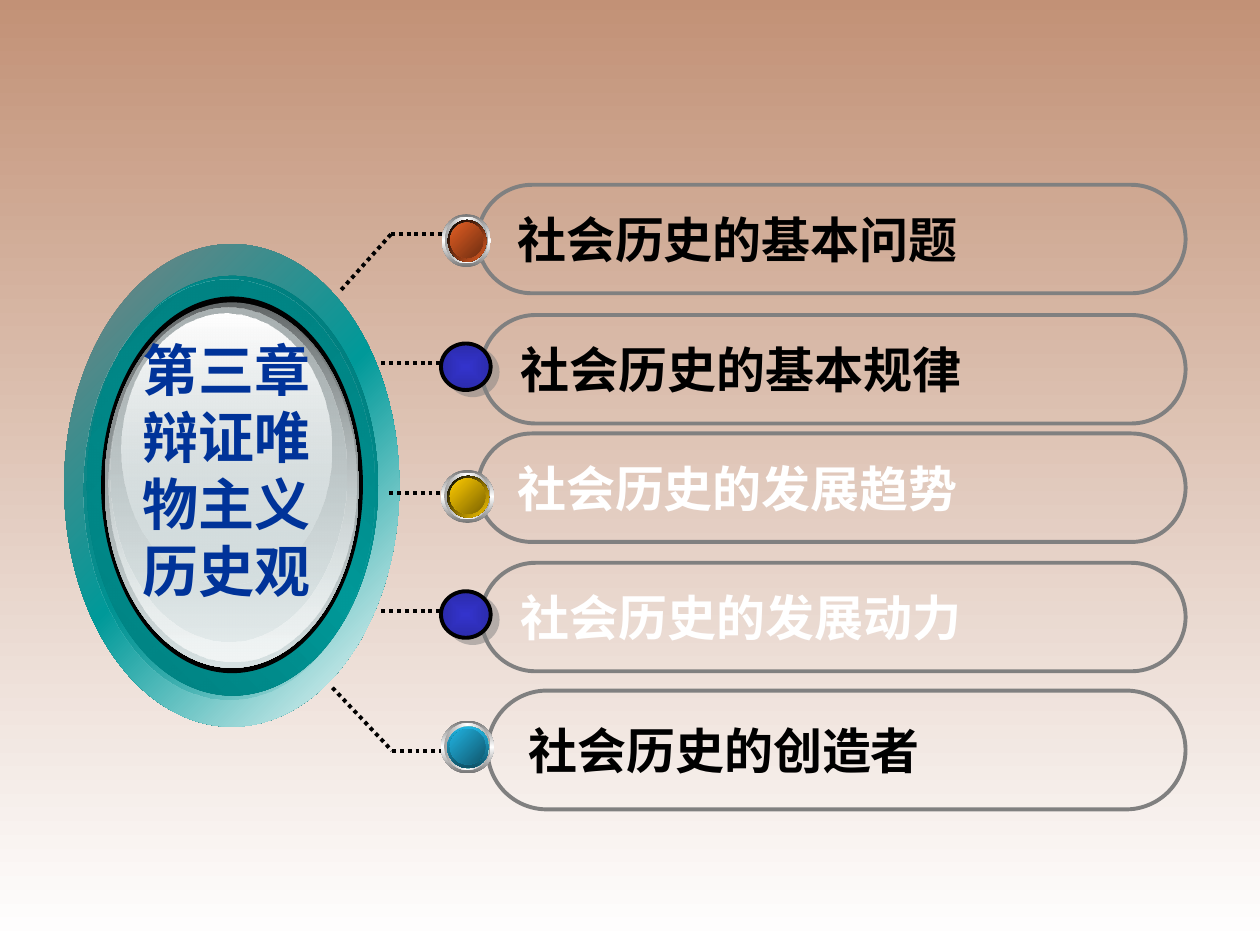
from lxml import etree
from pptx import Presentation
from pptx.dml.color import RGBColor
from pptx.enum.dml import MSO_LINE
from pptx.enum.shapes import MSO_CONNECTOR, MSO_SHAPE
from pptx.enum.text import MSO_ANCHOR, MSO_AUTO_SIZE, PP_ALIGN
from pptx.oxml.ns import qn
from pptx.util import Pt

OVAL = MSO_SHAPE.OVAL
PILL = MSO_SHAPE.ROUNDED_RECTANGLE
RECTANGLE = MSO_SHAPE.RECTANGLE
STRAIGHT = MSO_CONNECTOR.STRAIGHT
DOTTED = MSO_LINE.ROUND_DOT
LEFT, CENTER = PP_ALIGN.LEFT, PP_ALIGN.CENTER
MIDDLE = MSO_ANCHOR.MIDDLE
GROW = MSO_AUTO_SIZE.SHAPE_TO_FIT_TEXT

BLACK = RGBColor(0x00, 0x00, 0x00)
WHITE = RGBColor(0xFF, 0xFF, 0xFF)
GRAY = RGBColor(0x80, 0x80, 0x80)
CLAY = RGBColor(0xC2, 0x91, 0x76)
ICE = RGBColor(0xE0, 0xF6, 0xF8)
PALE_ICE = RGBColor(0xEF, 0xFA, 0xFB)
TEAL = RGBColor(0x00, 0x99, 0x99)
DEEP_TEAL = RGBColor(0x00, 0x75, 0x75)
MID_TEAL = RGBColor(0x00, 0x7E, 0x7E)
SLATE = RGBColor(0x63, 0x68, 0x69)
MIST = RGBColor(0xD6, 0xE1, 0xE2)
PALE_MIST = RGBColor(0xF1, 0xF5, 0xF5)
FOG = RGBColor(0xAA, 0xB2, 0xB3)
STEEL = RGBColor(0x76, 0x76, 0x76)
SILVER = RGBColor(0xA2, 0xA2, 0xA2)
NAVY = RGBColor(0x00, 0x33, 0x99)
SKY = RGBColor(0x21, 0xB3, 0xE1)
SKY_RIM = RGBColor(0x0F, 0x53, 0x68)
DARK_SKY = RGBColor(0x10, 0x57, 0x6D)
ORANGE = RGBColor(0xE3, 0x5E, 0x23)
DARK_ORANGE = RGBColor(0x6E, 0x2E, 0x11)
YELLOW = RGBColor(0xFF, 0xCC, 0x00)
DARK_YELLOW = RGBColor(0x7C, 0x63, 0x00)
INDIGO = RGBColor(0x33, 0x33, 0xCC)
DARK_INDIGO = RGBColor(0x2B, 0x2B, 0xAB)


class ChapterSlide:
    title_font = "Arial"
    label_font = "Noto Sans CJK JP"
    title_size = Pt(32)
    label_size = Pt(28)
    line_width = Pt(2.25)

    def __init__(self, presentation):
        self.slide = presentation.slides.add_slide(presentation.slide_layouts[6])

    def color_element(self, parent, color, alpha=100):
        element = etree.SubElement(parent, qn("a:srgbClr"), val=str(color))
        if alpha < 100:
            etree.SubElement(element, qn("a:alpha"), val=str(alpha * 1000))

    def gradient(self, fill, owner, stops, angle):
        fill.gradient()
        fill.gradient_angle = -angle % 360
        gradient = next(owner.iter(qn("a:gradFill")))
        stop_list = gradient.find(qn("a:gsLst"))
        for old_stop in list(stop_list):
            stop_list.remove(old_stop)
        for index, (color, alpha) in enumerate(stops):
            position = 100000 * index // (len(stops) - 1)
            stop = etree.SubElement(stop_list, qn("a:gs"), pos=str(position))
            self.color_element(stop, color, alpha)

    def background(self, *colors):
        stops = [(color, 100) for color in colors]
        self.gradient(self.slide.background.fill, self.slide._element, stops, 90)

    def shape(self, kind, box, colors=(), angle=90, alpha=100, outline=None):
        shape = self.slide.shapes.add_shape(kind, *map(Pt, box))
        shape.shadow.inherit = False
        if len(colors) > 1:
            stops = [(color, 100) for color in colors]
            if alpha < 100:
                faded = 0 if colors[0] == MIST else -1
                stops[faded] = (colors[faded], alpha)
            self.gradient(shape.fill, shape._element, stops, angle)
        elif colors:
            shape.fill.solid()
            shape.fill.fore_color.rgb = colors[0]
        else:
            shape.fill.background()
        if outline is None:
            shape.line.fill.background()
        else:
            shape.line.color.rgb = outline
            shape.line.width = self.line_width
        return shape

    def dotted_line(self, *ends):
        line = self.slide.shapes.add_connector(STRAIGHT, *map(Pt, ends))
        line.line.color.rgb = BLACK
        line.line.width = self.line_width
        line.line.dash_style = DOTTED
        etree.SubElement(line._element.spPr, qn("a:effectLst"))

    def set_text(self, frame, text, font_name, size, color, alignment):
        paragraph = frame.paragraphs[0]
        paragraph.text = text
        paragraph.alignment = alignment
        font = paragraph.font
        font.name, font.size, font.bold = font_name, size, True
        font.color.rgb = color
        return paragraph

    def title(self, text, box):
        frame = self.slide.shapes.add_textbox(*map(Pt, box)).text_frame
        frame.word_wrap = True
        frame.auto_size = GROW
        paragraph = self.set_text(frame, text, self.title_font, self.title_size, NAVY, CENTER)
        paragraph.space_before = Pt(6)

    def pill(self, text, left, top, height, color):
        right = 677.5
        shape = self.shape(PILL, (left, top, right - left, height), outline=GRAY)
        shape.adjustments[0] = 0.5
        frame = shape.text_frame
        frame.word_wrap = False
        frame.vertical_anchor = MIDDLE
        frame.margin_left = Pt(13.5)
        self.set_text(frame, text, self.label_font, self.label_size, color, LEFT)

    def bead(self, left, top, width, rim, rim_angle, core):
        height = 30.2
        layers = [
            (0, 0, 1, (STEEL, WHITE, STEEL), 90),
            (0.06, 0.05, 0.88, (SILVER, WHITE, SILVER), 0),
            (0.12, 0.11, 0.79, (WHITE, TEAL, WHITE), 45),
            (0.12, 0.11, 0.79, rim, rim_angle),
            (0.17, 0.16, 0.67, (DEEP_TEAL, TEAL, DEEP_TEAL), 315),
            (0.17, 0.16, 0.67, core, 45),
        ]
        for across, down, scale, colors, angle in layers:
            box = (left + across * width, top + down * height, scale * width, scale * height)
            self.shape(OVAL, box, colors, angle)

    def ball(self, left, top):
        shape = self.shape(OVAL, (left, top, 28.4, 26.6), (INDIGO, DARK_INDIGO), outline=BLACK)
        gradient = next(shape._element.iter(qn("a:gradFill")))
        gradient.remove(gradient.find(qn("a:lin")))
        radial = etree.SubElement(gradient, qn("a:path"), path="shape")
        sides = dict.fromkeys("ltrb", "50000")
        etree.SubElement(radial, qn("a:fillToRect"), **sides)
        effects = shape._element.spPr.find(qn("a:effectLst"))
        shadow = etree.SubElement(
            effects, qn("a:outerShdw"), dist=str(Pt(5)), dir=str(37 * 60000), rotWithShape="0"
        )
        self.color_element(shadow, GRAY, 50)


def main():
    presentation = Presentation()
    presentation.slide_width, presentation.slide_height = Pt(720), Pt(540)
    chapter = ChapterSlide(presentation)
    chapter.background(CLAY, ICE, PALE_ICE)
    chapter.shape(RECTANGLE, (0, -2, 720, 542), (CLAY, WHITE))

    chapter.dotted_line(190, 393, 224, 429)
    medallion = [
        ((36.7, 139.5, 191.5, 275.8), (GRAY, TEAL, WHITE), 45, 100),
        ((49.7, 157.7, 166.3, 239.8), (DEEP_TEAL, TEAL, DEEP_TEAL), 315, 100),
        ((47.5, 159.8, 166.3, 239.8), (MID_TEAL, TEAL), 45, 0),
        ((57.8, 169.4, 149.6, 215.3), (BLACK,), 0, 100),
        ((59.8, 172.8, 145.4, 208.8), (SLATE, MIST), 90, 100),
        ((61.9, 174.2, 141.8, 203.8), (MIST, PALE_MIST), 90, 0),
        ((63.4, 175.7, 134.6, 190.8), (FOG, MIST), 90, 48),
        ((69.6, 179.3, 119.9, 154.8), (WHITE, MIST), 90, 38),
    ]
    for box, colors, angle, alpha in medallion:
        chapter.shape(OVAL, box, colors, angle, alpha)
    chapter.dotted_line(195, 165.6, 223.4, 133.9)
    chapter.dotted_line(223.4, 133.9, 268.6, 133.9)
    chapter.dotted_line(224, 429, 257, 429)
    chapter.dotted_line(222.5, 281.5, 267.8, 281.5)
    chapter.title("第三章辩证唯物主义历史观", (70.6, 188, 118, 162))

    chapter.pill("社会历史的创造者", 278.6, 394.6, 67.9, BLACK)
    chapter.pill("社会历史的发展趋势", 273, 247.7, 62, WHITE)
    chapter.pill("社会历史的基本问题", 273, 105.6, 62, BLACK)
    chapter.bead(252, 411.8, 30.2, (SKY, SKY_RIM), 90, (SKY, DARK_SKY))
    chapter.bead(252.5, 122.4, 28, (BLACK, ORANGE), 45, (ORANGE, DARK_ORANGE))
    chapter.bead(252, 268.6, 30.2, (BLACK, YELLOW), 45, (YELLOW, DARK_YELLOW))

    rows = [("社会历史的基本规律", 180, BLACK), ("社会历史的发展动力", 321.6, WHITE)]
    for text, top, color in rows:
        chapter.pill(text, 275, top, 62, color)
        chapter.dotted_line(218, top + 27.6, 255, top + 27.6)
        chapter.ball(252, top + 16.3)
    presentation.save("out.pptx")


if __name__ == "__main__":
    main()
